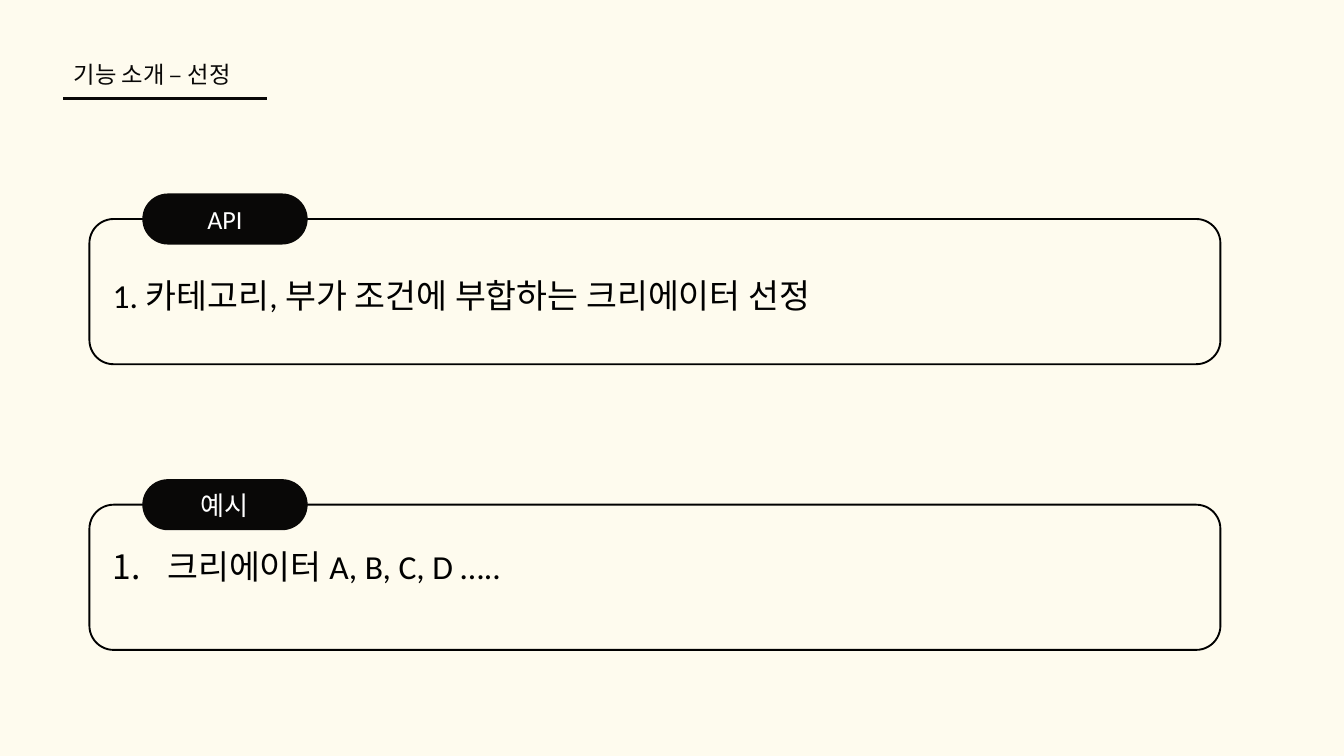
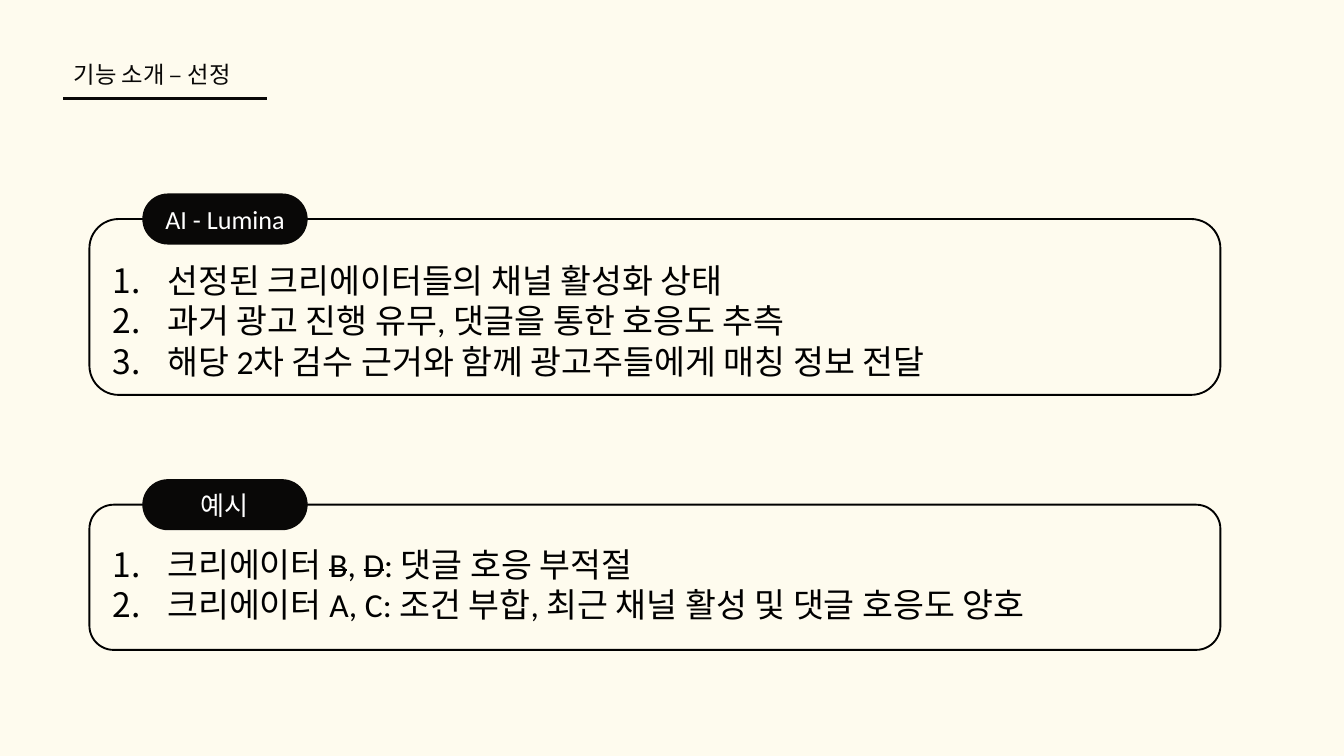
from lxml.etree import SubElement
from pptx import Presentation
from pptx.dml.color import RGBColor
from pptx.enum.shapes import MSO_CONNECTOR as CONN, MSO_SHAPE as SHAPE
from pptx.enum.text import MSO_ANCHOR as ANCHOR, MSO_AUTO_SIZE as AUTO, PP_ALIGN as ALIGN
from pptx.oxml.ns import qn
from pptx.util import Cm, Pt

CREAM, INK, BLACK, WHITE = "FEFBEE", "090807", "000000", "FFFFFF"
LATIN, KOREAN = "Calibri", "Noto Sans CJK SC"

PANEL_LEFT, PANEL_W = 3.38, 42.75
PANEL_TOPS = (8.28, 19.08)
TAG_LEFT, TAG_W, TAG_H = 5.38, 6.25, 1.93
TEXT_LEFT, TEXT_W = 4.01, 41.48
NUMBER_INDENT = 2.06


def rgb(color):
    return RGBColor.from_string(color)


def add_run(p, text, size, color, name=LATIN, strike=False):
    r = p.add_run()
    r.text = text
    r.font.size = Pt(size)
    r.font.name = name
    r.font.color.rgb = rgb(color)
    props = r._r.get_or_add_rPr()
    SubElement(props, qn("a:ea"), typeface=KOREAN)
    if strike:
        props.set("strike", "sngStrike")


def set_insets(tf, size):
    tf.margin_left = tf.margin_top = tf.margin_right = tf.margin_bottom = Cm(size)


def number_paragraph(p):
    """Give the paragraph an automatic number with a hanging indent."""
    props = p._p.get_or_add_pPr()
    props.set("marL", str(Cm(NUMBER_INDENT)))
    props.set("indent", str(-Cm(NUMBER_INDENT)))
    SubElement(props, qn("a:buFont"), typeface="+mj-lt")
    SubElement(props, qn("a:buAutoNum"), type="arabicPeriod")


def add_rounded(slide, left, top, width, height):
    sp = slide.shapes.add_shape(SHAPE.ROUNDED_RECTANGLE, Cm(left), Cm(top), Cm(width), Cm(height))
    sp.shadow.inherit = False
    return sp


def add_title(slide, text):
    sp = slide.shapes.title
    sp.left, sp.top, sp.width, sp.height = Cm(2.79), Cm(2.08), Cm(9.5), Cm(1.24)
    tf = sp.text_frame
    set_insets(tf, 0)
    tf.auto_size = AUTO.NONE
    tf.vertical_anchor = ANCHOR.MIDDLE
    p = tf.paragraphs[0]
    p.alignment = ALIGN.LEFT
    p.line_spacing = Pt(35)
    add_run(p, text, 25, INK, KOREAN)

    rule = slide.shapes.add_connector(CONN.STRAIGHT, Cm(2.39), Cm(3.73), Cm(10.11), Cm(3.73))
    rule.line.color.rgb = rgb(INK)
    rule.line.width = Pt(3)
    SubElement(rule._element.spPr, qn("a:effectLst"))


def add_tag(slide, center_y, label):
    sp = add_rounded(slide, TAG_LEFT, center_y - TAG_H / 2, TAG_W, TAG_H)
    sp.adjustments[0] = 0.5
    sp.fill.solid()
    sp.fill.fore_color.rgb = rgb(INK)
    sp.line.fill.background()
    tf = sp.text_frame
    set_insets(tf, 0)
    tf.vertical_anchor = ANCHOR.MIDDLE
    p = tf.paragraphs[0]
    p.alignment = ALIGN.CENTER
    add_run(p, label, 28, WHITE)


def add_lines(slide, top, height, lines, numbered):
    """Write one paragraph a line; text between tildes is struck through."""
    sp = slide.shapes.add_textbox(Cm(TEXT_LEFT), Cm(top), Cm(TEXT_W), Cm(height))
    tf = sp.text_frame
    tf.word_wrap = True
    for i, line in enumerate(lines):
        p = tf.add_paragraph() if i else tf.paragraphs[0]
        if numbered:
            number_paragraph(p)
        for j, part in enumerate(line.split("~")):
            add_run(p, part, 36, BLACK, strike=j % 2 == 1)


def add_panel(slide, top, label, lines, text_top, text_h, height=5.49, numbered=True):
    sp = add_rounded(slide, PANEL_LEFT, top, PANEL_W, height)
    sp.fill.background()
    sp.line.color.rgb = rgb(BLACK)
    sp.line.width = Pt(2)
    add_tag(slide, top, label)
    add_lines(slide, text_top, text_h, lines, numbered)


def add_feature_slide(prs):
    slide = prs.slides.add_slide(prs.slide_layouts[5])
    add_title(slide, "기능 소개 – 선정")
    return slide


def main():
    prs = Presentation()
    prs.slide_width, prs.slide_height = Cm(50.8), Cm(28.58)
    background = prs.slide_master.background.fill
    background.solid()
    background.fore_color.rgb = rgb(CREAM)
    upper, lower = PANEL_TOPS

    slide = add_feature_slide(prs)
    add_panel(slide, upper, "API", ["1. 카테고리, 부가 조건에 부합하는 크리에이터 선정"],
              10.26, 1.8, numbered=False)
    add_panel(slide, lower, "예시", ["크리에이터 A, B, C, D ….."], 20.5, 1.8)

    slide = add_feature_slide(prs)
    add_panel(slide, upper, "AI - Lumina", [
        "선정된 크리에이터들의 채널 활성화 상태",
        "과거 광고 진행 유무, 댓글을 통한 호응도 추측",
        "해당 2차 검수 근거와 함께 광고주들에게 매칭 정보 전달",
    ], 9.7, 6.4, height=6.65)
    add_panel(slide, lower, "예시", [
        "크리에이터 ~B~, ~D~: 댓글 호응 부적절",
        "크리에이터 A, C: 조건 부합, 최근 채널 활성 및 댓글 호응도 양호",
    ], 20.42, 3.33)

    prs.save("out.pptx")


if __name__ == "__main__":
    main()
